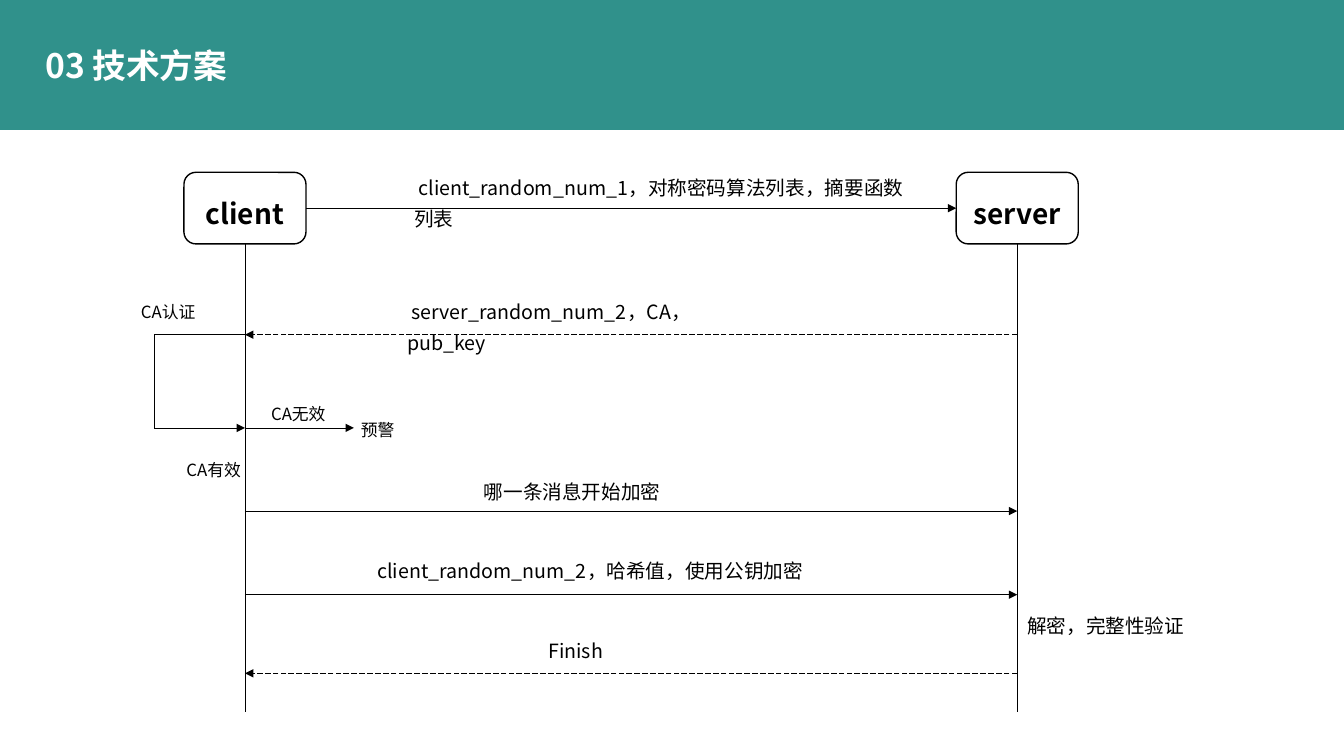
"""Build a slide with the handshake sequence between client and server."""
import pptx
import pptx.dml.color
import pptx.enum.dml
import pptx.enum.shapes
import pptx.enum.text
import pptx.oxml.ns
import pptx.util

COLORS = {"band": "30918B", "panel": "FFFFFF", "ink": "000000"}
FONT = "Noto Sans CJK SC"

presentation = pptx.Presentation()
presentation.slide_width = pptx.util.Inches(13.33)
presentation.slide_height = pptx.util.Inches(7.5)
column = presentation.slide_width / 100
row = presentation.slide_height / 100
rgb = {name: pptx.dml.color.RGBColor.from_string(value) for name, value in COLORS.items()}


def write(shape, text, size, color, bold, spacing):
    """Set one styled paragraph and return it."""
    shape.text_frame.text = text
    paragraph = shape.text_frame.paragraphs[0]
    paragraph.line_spacing = spacing
    paragraph.space_before = pptx.util.Pt(0)
    font = paragraph.runs[0].font
    font.size = pptx.util.Pt(size)
    font.bold = bold
    font.color.rgb = rgb[color]
    font.name = FONT
    properties = paragraph.runs[0].font._element
    east_asian = properties.makeelement(pptx.oxml.ns.qn("a:ea"), {"typeface": FONT})
    properties.find(pptx.oxml.ns.qn("a:latin")).addnext(east_asian)
    return paragraph


def connect(start, end, arrow=True, dashed=False):
    """Draw a thin line between two grid points and return it."""
    connector = slide.shapes.add_connector(
        pptx.enum.shapes.MSO_CONNECTOR.STRAIGHT,
        int(start[0] * column), int(start[1] * row), int(end[0] * column), int(end[1] * row))
    connector.line.width = pptx.util.Pt(0.5)
    connector.line.color.rgb = rgb["ink"]
    if dashed:
        connector.line.dash_style = pptx.enum.dml.MSO_LINE.LONG_DASH
    properties = connector._element.spPr
    if arrow:
        line = connector.line._get_or_add_ln()
        line.append(line.makeelement(pptx.oxml.ns.qn("a:tailEnd"), {"type": "triangle"}))
    properties.append(properties.makeelement(pptx.oxml.ns.qn("a:effectLst"), {}))
    return connector


slide = presentation.slides.add_slide(presentation.slide_layouts[5])
slide.background.fill.solid()
slide.background.fill.fore_color.rgb = rgb["band"]

panel = slide.shapes.add_shape(
    pptx.enum.shapes.MSO_SHAPE.RECTANGLE,
    0, int(17.2 * row), presentation.slide_width, int(82.8 * row))
panel.shadow.inherit = False
panel.fill.solid()
panel.fill.fore_color.rgb = rgb["panel"]
panel.line.fill.background()

title = slide.shapes.title
title.left, title.top = int(2.63 * column), int(3.73 * row)
title.width, title.height = int(43.51 * column), int(10.53 * row)
heading = write(title, "03 技术方案", 24, "panel", True, 0.9)
heading.alignment = pptx.enum.text.PP_ALIGN.LEFT
title.text_frame.vertical_anchor = pptx.enum.text.MSO_ANCHOR.MIDDLE

client_x, server_x = 18.23, 75.69
box_top, box_width, box_height = 22.8, 9.08, 9.47
box_middle, box_bottom = box_top + box_height / 2, box_top + box_height
lifeline_end = 94.13

boxes = {}
for name, center in (("client", client_x), ("server", server_x)):
    box = slide.shapes.add_shape(
        pptx.enum.shapes.MSO_SHAPE.ROUNDED_RECTANGLE,
        int((center - box_width / 2) * column), int(box_top * row),
        int(box_width * column), int(box_height * row))
    box.shadow.inherit = False
    box.fill.solid()
    box.fill.fore_color.rgb = rgb["panel"]
    box.line.color.rgb = rgb["ink"]
    box.line.width = pptx.util.Pt(1)
    label = write(box, name, 20, "ink", True, 1.3)
    label.alignment = pptx.enum.text.PP_ALIGN.CENTER
    box.text_frame.vertical_anchor = pptx.enum.text.MSO_ANCHOR.MIDDLE
    boxes[name] = box
    lifeline = connect((center, box_bottom), (center, lifeline_end), arrow=False)
    lifeline.begin_connect(box, 2)

hello = connect((client_x + box_width / 2, box_middle), (server_x - box_width / 2, box_middle))
hello.begin_connect(boxes["client"], 3)
hello.end_connect(boxes["server"], 1)

reply_y, check_y = 44.27, 56.6
for message_y in (67.6, 78.67):
    connect((client_x, message_y), (server_x, message_y))
for message_y in (reply_y, 89.07):
    connect((server_x, message_y), (client_x, message_y), dashed=True)

loop_x, warning_x = 11.48, 26.33
connect((client_x, reply_y), (loop_x, reply_y), arrow=False)
connect((loop_x, reply_y), (loop_x, check_y), arrow=False)
connect((loop_x, check_y), (client_x, check_y))
connect((client_x, check_y), (warning_x, check_y))

labels = [
    (" client_random_num_1，对称密码算法列表，摘要函数列表", 14, 30.08, 21.73, 39.16),
    (" server_random_num_2，CA，pub_key", 14, 29.56, 38.13, 27.23),
    ("CA认证", 12, 9.75, 38.4, 7.88),
    ("CA有效", 12, 13.13, 59.33, 7.88),
    ("CA无效", 12, 19.43, 52, 7.88),
    ("预警", 12, 26.11, 54, 4.8),
    (" client_random_num_2，哈希值，使用公钥加密", 14, 27.01, 72.4, 35.33),
    ("哪一条消息开始加密", 14, 35.26, 61.87, 19.88),
    ("解密，完整性验证", 14, server_x, 79.6, 14.55),
    ("Finish", 14, 40.06, 82.93, 6.23),
]
label_heights = {12: 4.53, 14: 5.07}
for text, size, left, top, width in labels:
    text_box = slide.shapes.add_textbox(
        int(left * column), int(top * row), int(width * column), int(label_heights[size] * row))
    text_box.text_frame.word_wrap = True
    text_box.text_frame.auto_size = pptx.enum.text.MSO_AUTO_SIZE.SHAPE_TO_FIT_TEXT
    write(text_box, text, size, "ink", False, 1.3)

presentation.save("out.pptx")
